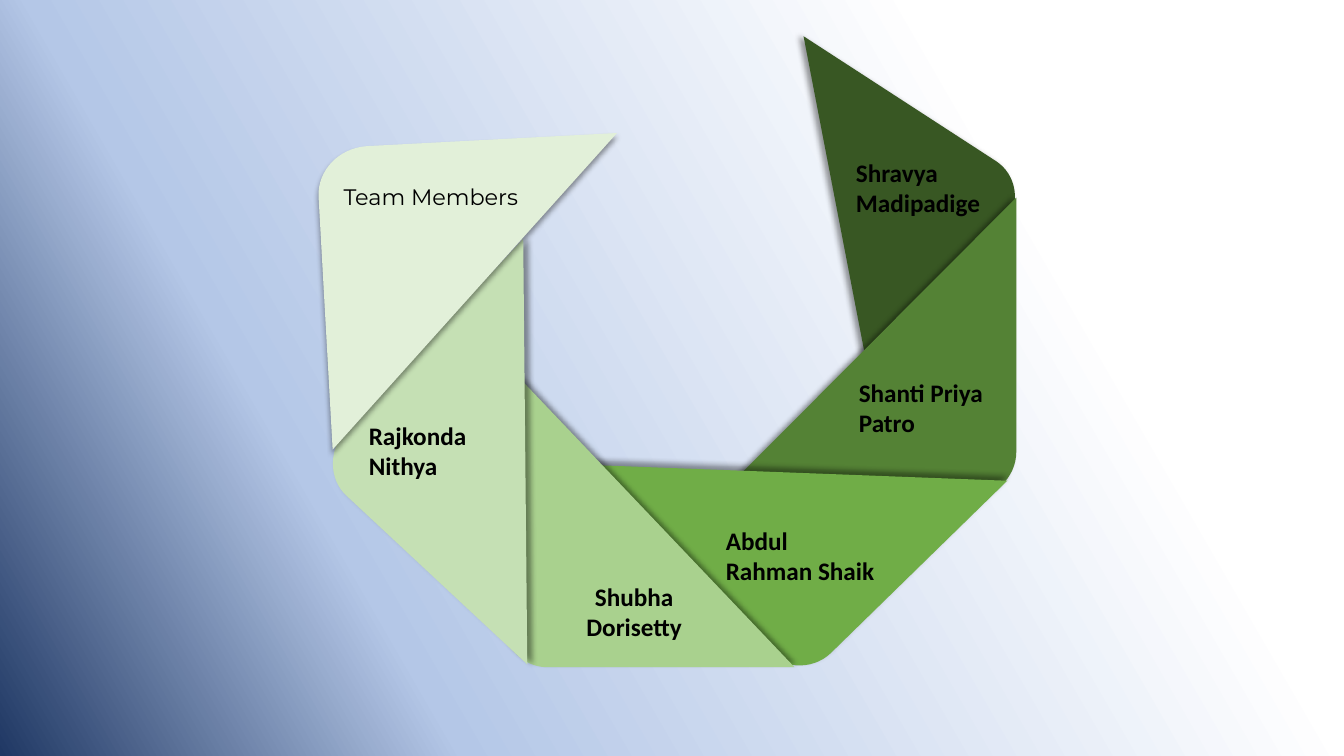
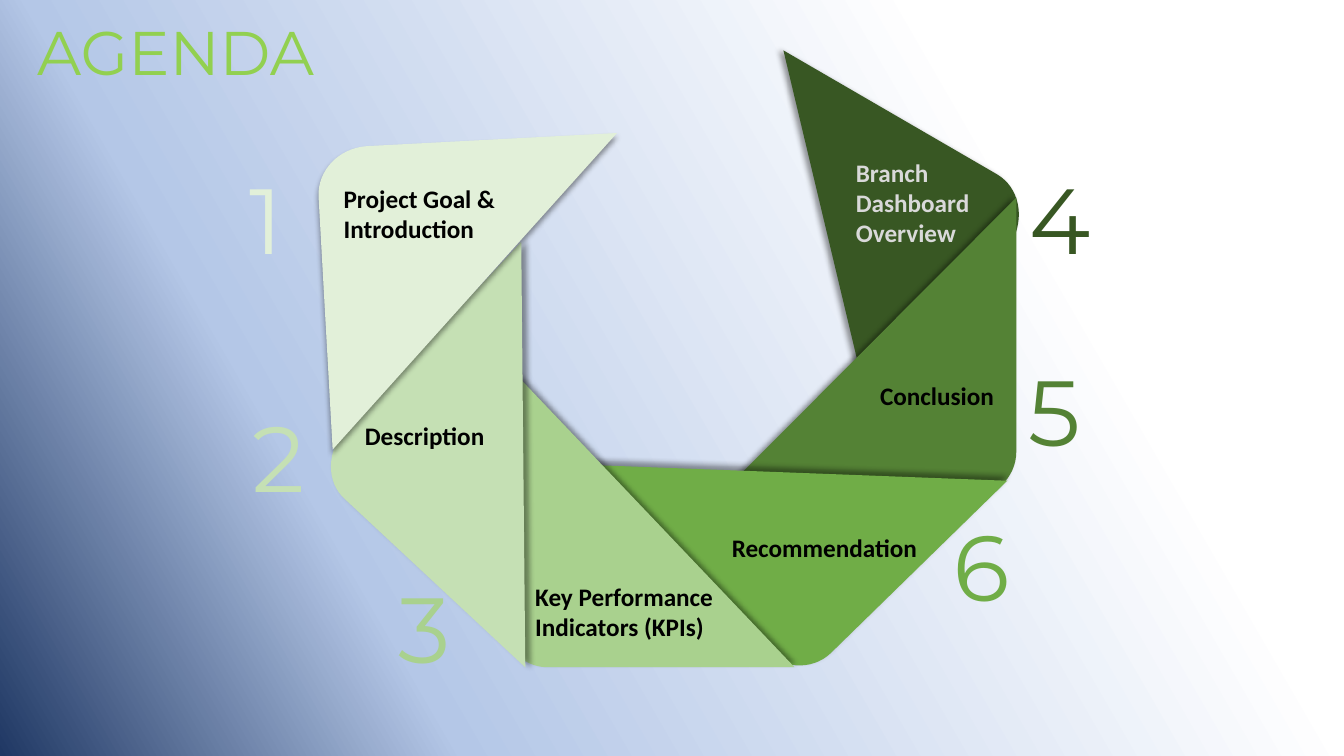
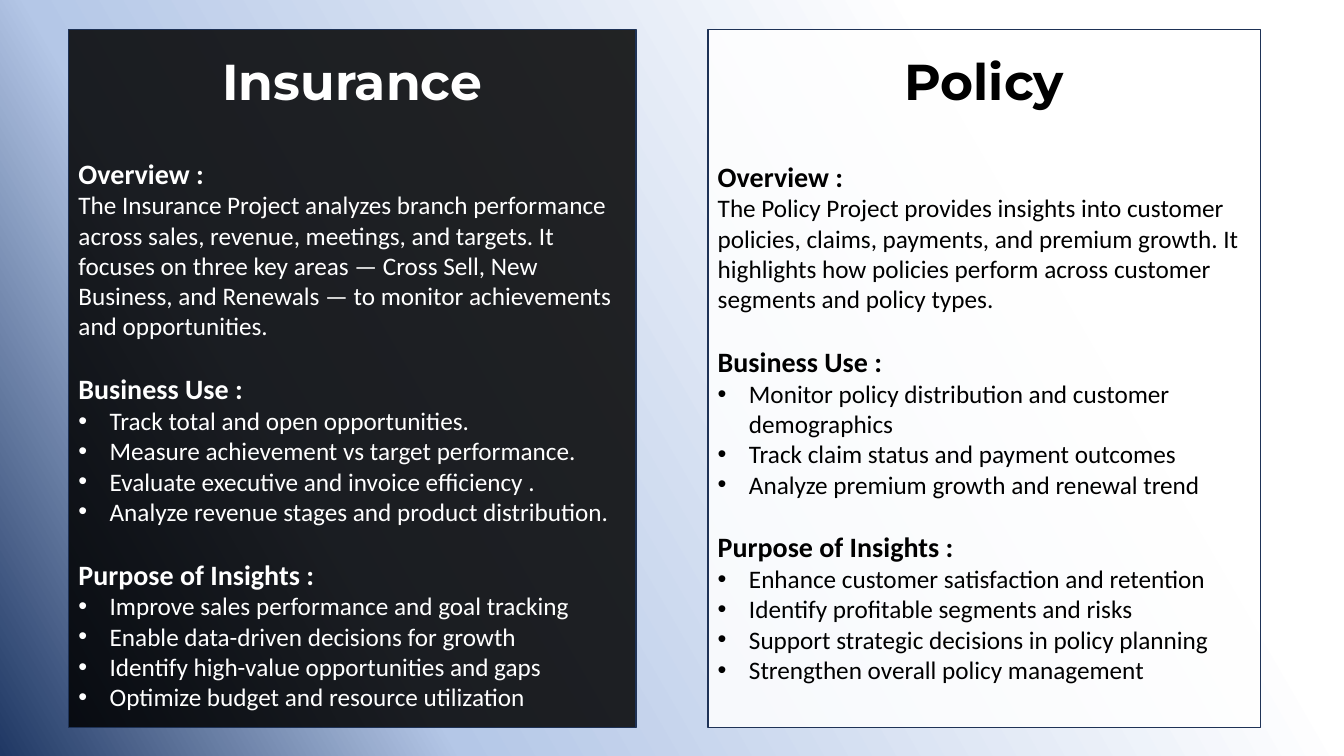
from copy import deepcopy

from lxml import etree
from pptx import Presentation
from pptx.dml.color import RGBColor
from pptx.enum.shapes import MSO_SHAPE
from pptx.enum.text import MSO_AUTO_SIZE, PP_ALIGN
from pptx.oxml.ns import qn
from pptx.util import Pt

PX = 9144  # EMU per px, 100 px to the inch
RECTANGLE = MSO_SHAPE.RECTANGLE
GROW = MSO_AUTO_SIZE.SHAPE_TO_FIT_TEXT
LEFT, CENTER = PP_ALIGN.LEFT, PP_ALIGN.CENTER

HEAD_FONT, BODY_FONT = "Montserrat", "Calibri"
BLACK = RGBColor(0x00, 0x00, 0x00)
WHITE = RGBColor(0xFF, 0xFF, 0xFF)
GRAY = RGBColor(0xD9, 0xD9, 0xD9)
LIME = RGBColor(0x92, 0xD0, 0x50)
NAVY = RGBColor(0x20, 0x38, 0x64)
PALE_BLUE = RGBColor(0xB4, 0xC7, 0xE7)
PANEL_EDGE = RGBColor(0x1E, 0x32, 0x56)
GREEN_1 = RGBColor(0xE2, 0xF0, 0xD9)
GREEN_2 = RGBColor(0xC5, 0xE0, 0xB4)
GREEN_3 = RGBColor(0xA9, 0xD1, 0x8E)
GREEN_4 = RGBColor(0x70, 0xAD, 0x47)
GREEN_5 = RGBColor(0x54, 0x82, 0x35)
GREEN_6 = RGBColor(0x38, 0x57, 0x23)

BACKDROP = [(0.24, WHITE), (0.74, PALE_BLUE), (1, NAVY)]
BACKDROP_ANGLE = 210  # counter-clockwise degrees

# Petals, back to front: colour, shadow direction, four corners,
# then the two handles of the round corner that leads back to the start
PETALS = [
    (GREEN_6, 180, [(998, 223), (871, 420), (797, 36), (988, 160), (1008, 173), (1013, 201)]),
    (GREEN_5, 180, [(958, 495), (710, 495), (1008, 196), (1008, 448), (1008, 474), (986, 495)]),
    (GREEN_4, 270, [(755, 643), (577, 461), (999, 477), (824, 648), (805, 666), (774, 664)]),
    (GREEN_3, 270, [(497, 610), (497, 356), (788, 662), (543, 662), (517, 662), (497, 639)]),
    (GREEN_2, 0, [(345, 423), (519, 237), (523, 659), (344, 492), (325, 475), (326, 444)]),
    (GREEN_1, 90, [(364, 145), (612, 132), (330, 446), (316, 195), (315, 169), (336, 147)]),
]
AGENDA_TOP_PETAL = [(1003, 241), (875, 461), (777, 50), (989, 173), (1011, 186), (1017, 216)]
AGENDA_SHIFT = {GREEN_2: (-2, 3)}

# Labels: (left, top, width, height), text, colour, alignment
TEAM_TITLE = ((331, 177, 667, 37), "Team Members")
TEAM = [
    ((356, 412, 184, 71), "Rajkonda\nNithya", BLACK, LEFT),
    ((521, 572, 216, 71), "Shubha\nDorisetty", BLACK, CENTER),
    ((839, 151, 179, 71), "Shravya Madipadige", BLACK, LEFT),
    ((842, 369, 173, 71), "Shanti Priya\nPatro", BLACK, LEFT),
    ((710, 516, 172, 71), "Abdul Rahman Shaik", BLACK, LEFT),
]
AGENDA_TITLE = ((27, 9, 322, 84), "AGENDA")
AGENDA = [
    ((331, 177, 667, 71), "Project Goal &\nIntroduction", BLACK, LEFT),
    ((352, 412, 169, 40), "Description", BLACK, LEFT),
    ((521, 572, 285, 71), "Key Performance\nIndicators (KPIs)", BLACK, LEFT),
    ((839, 151, 200, 101), "Branch Dashboard\nOverview", GRAY, LEFT),
    ((863, 372, 200, 40), "Conclusion", BLACK, LEFT),
    ((716, 523, 300, 40), "Recommendation", BLACK, LEFT),
]
NUMBERS = [  # left, top, digit, colour
    (238, 156, "1", GREEN_1), (241, 392, "2", GREEN_2), (385, 562, "3", GREEN_3),
    (1011, 156, "4", GREEN_6), (1010, 346, "5", GREEN_5), (936, 500, "6", GREEN_4),
]
NUMBER_SIZE = (87, 121)

PANEL_TOP, PANEL_HEIGHT = 29, 693
PANELS = [
    {
        "title": "Insurance", "left": 68, "width": 563, "body_top": 150,
        "fill": BLACK, "ink": WHITE,
        "overview": "The Insurance Project analyzes branch performance across sales, "
                    "revenue, meetings, and targets. It focuses on three key areas — "
                    "Cross Sell, New Business, and Renewals — to monitor achievements "
                    "and opportunities.",
        "use": ["Track total and open opportunities.",
                "Measure achievement vs target performance.",
                "Evaluate executive and invoice efficiency .",
                "Analyze revenue stages and product distribution."],
        "purpose": ["Improve sales performance and goal tracking",
                    "Enable data-driven decisions for growth",
                    "Identify high-value opportunities and gaps",
                    "Optimize budget and resource utilization"],
    },
    {
        "title": "Policy", "left": 702, "width": 548, "body_top": 153,
        "fill": WHITE, "ink": BLACK,
        "overview": "The Policy Project provides insights into customer policies, claims, "
                    "payments, and premium growth. It highlights how policies perform "
                    "across customer segments and policy types.",
        "use": ["Monitor policy distribution and customer demographics",
                "Track claim status and payment outcomes",
                "Analyze premium growth and renewal trend"],
        "purpose": ["Enhance customer satisfaction and retention",
                    "Identify profitable segments and risks",
                    "Support strategic decisions in policy planning",
                    "Strengthen overall policy management"],
    },
]


# Shared helpers
def emu(*lengths):
    return [length * PX for length in lengths]


def style(para, size, color, font=BODY_FONT, bold=False, align=LEFT):
    para.alignment = align
    for span in para.runs:
        span.font.size = Pt(size)
        span.font.name = font
        span.font.bold = bold
        span.font.color.rgb = color


def add_text(page, area, text, *look):
    box = page.shapes.add_textbox(*emu(*area))
    frame = box.text_frame
    frame.word_wrap = True
    frame.auto_size = GROW
    frame.text = text
    for para in frame.paragraphs:
        style(para, *look)
    return frame


def add_alpha(fill_format_parent, percent):
    color = fill_format_parent.find(".//" + qn("a:srgbClr"))
    etree.SubElement(color, qn("a:alpha"), val=str(percent * 1000))


def add_bullet(para):
    props = para._p.get_or_add_pPr()
    props.set("marL", str(31 * PX))
    props.set("indent", str(-31 * PX))
    etree.SubElement(props, qn("a:buFont"), typeface="Arial")
    etree.SubElement(props, qn("a:buChar"), char="•")


def paint_backdrop(master):
    fill = master.background.fill
    fill.gradient()
    fill.gradient_angle = BACKDROP_ANGLE
    stop_list = master.element.find(".//" + qn("a:gsLst"))
    stop_list.append(deepcopy(stop_list[0]))
    for stop, (position, color) in zip(fill.gradient_stops, BACKDROP):
        stop.position = position
        stop.color.rgb = color


# Petal wheel
def curve(start, handle_1, handle_2, end, steps=16):
    for step in range(1, steps + 1):
        t = step / steps
        weights = ((1 - t) ** 3, 3 * t * (1 - t) ** 2, 3 * t * t * (1 - t), t ** 3)
        points = (start, handle_1, handle_2, end)
        yield tuple(sum(w * p[axis] for w, p in zip(weights, points)) for axis in (0, 1))


def add_petal(page, color, direction, outline):
    start, inner, tip, corner, handle_1, handle_2 = outline
    points = [inner, tip, corner, *curve(corner, handle_1, handle_2, start)]
    builder = page.shapes.build_freeform(*emu(*start), scale=1.0)
    builder.add_line_segments([emu(*point) for point in points], close=True)
    petal = builder.convert_to_shape()
    petal.fill.solid()
    petal.fill.fore_color.rgb = color
    petal.line.fill.background()
    petal.shadow.inherit = False
    effects = petal._element.spPr.find(qn("a:effectLst"))
    shadow = etree.SubElement(
        effects, qn("a:outerShdw"), blurRad=str(Pt(4)), dist=str(Pt(3)),
        dir=str(direction * 60000), algn="ctr", rotWithShape="0")
    etree.SubElement(shadow, qn("a:srgbClr"), val=str(BLACK))
    add_alpha(shadow, 40)


def add_wheel(page, petals, labels):
    for petal in petals:
        add_petal(page, *petal)
    for area, text, color, align in labels:
        add_text(page, area, text, 18, color, BODY_FONT, True, align)


def agenda_petals():
    top_color, top_direction, _ = PETALS[0]
    yield top_color, top_direction, AGENDA_TOP_PETAL
    for color, direction, outline in PETALS[1:]:
        dx, dy = AGENDA_SHIFT.get(color, (0, 0))
        yield color, direction, [(x + dx, y + dy) for x, y in outline]


# Project panels
def add_panel(page, panel):
    left, width, ink = panel["left"], panel["width"], panel["ink"]
    card = page.shapes.add_shape(RECTANGLE, *emu(left, PANEL_TOP, width, PANEL_HEIGHT))
    card.shadow.inherit = False
    card.fill.solid()
    card.fill.fore_color.rgb = panel["fill"]
    add_alpha(card._element.spPr, 85)
    card.line.color.rgb = PANEL_EDGE
    card.line.width = Pt(1)

    add_text(page, (left, 45, width, 71), panel["title"], 36, ink, HEAD_FONT, True, CENTER)

    sections = [
        ("Overview :", [panel["overview"]], False),
        ("Business Use :", panel["use"], True),
        ("Purpose of Insights :", panel["purpose"], True),
    ]
    body_top = panel["body_top"]
    frame = add_text(page, (left, body_top, width, 715 - body_top), "", 18, ink)
    for index, (heading, lines, bulleted) in enumerate(sections):
        para = frame.add_paragraph() if index else frame.paragraphs[0]
        para.text = heading
        style(para, 20, ink, BODY_FONT, True)
        if index:
            para.space_before = Pt(22)
        for line in lines:
            para = frame.add_paragraph()
            para.text = line
            style(para, 18, ink)
            if bulleted:
                add_bullet(para)


def main():
    deck = Presentation()
    deck.slide_width, deck.slide_height = emu(1333, 750)
    paint_backdrop(deck.slide_master)
    blank = deck.slide_layouts[6]

    # Team
    page = deck.slides.add_slide(blank)
    add_wheel(page, PETALS, TEAM)
    add_text(page, *TEAM_TITLE, 16, BLACK, HEAD_FONT)

    # Agenda
    page = deck.slides.add_slide(blank)
    add_wheel(page, agenda_petals(), AGENDA)
    add_text(page, *AGENDA_TITLE, 44, LIME, HEAD_FONT)
    for left, top, digit, color in NUMBERS:
        add_text(page, (left, top, *NUMBER_SIZE), digit, 66, color, HEAD_FONT)

    # Projects
    page = deck.slides.add_slide(blank)
    for panel in PANELS:
        add_panel(page, panel)

    deck.save("out.pptx")


if __name__ == "__main__":
    main()
